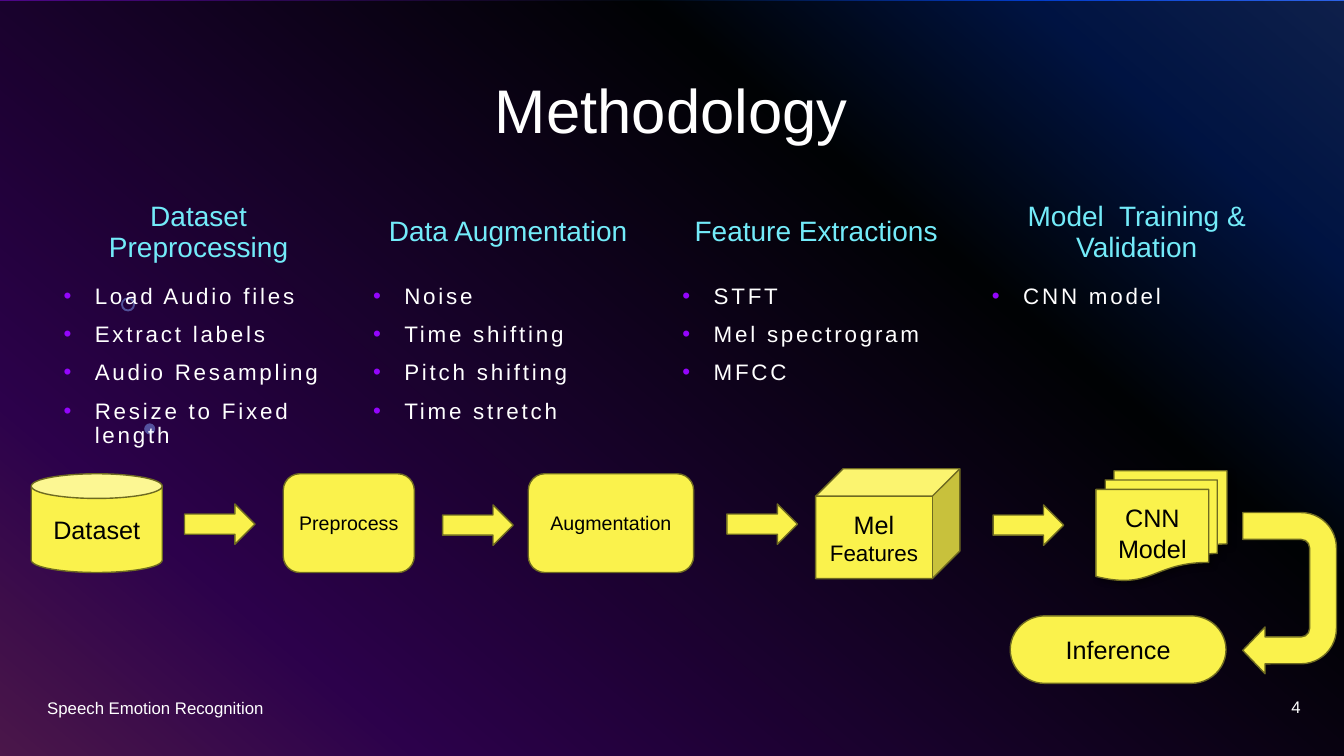
from lxml.etree import SubElement
from pptx import Presentation
from pptx.dml.color import RGBColor
from pptx.enum.shapes import MSO_SHAPE
from pptx.enum.text import MSO_ANCHOR, MSO_AUTO_SIZE, PP_ALIGN
from pptx.oxml.ns import qn
from pptx.util import Inches, Pt

COLORS = {"black": "000000", "white": "FFFFFF", "heading": "73EBF9",
          "bullet": "9405FC", "dot": "83A7FD", "step": "FAF24C", "outline": "6E6A21"}
BACKGROUND_STOPS = [(0, "316CFC"), (14, "0343DF"), (31, "02090E"),
                    (81, "9405FC"), (100, "FC4EFB")]
TITLE = "Methodology"
FOOTER = "Speech Emotion Recognition"
SLIDE_NUMBER = "4"

# heading, width, bullet items
COLUMNS = [
    ("Dataset Preprocessing", 2.88,
     ["Load Audio files", "Extract labels", "Audio Resampling", "Resize to Fixed length"]),
    ("Data Augmentation", 2.88, ["Noise", "Time shifting", "Pitch shifting", "Time stretch"]),
    ("Feature Extractions", 2.85, ["STFT", "Mel spectrogram", "MFCC"]),
    ("Model  Training & Validation", 3.07, ["CNN model"]),
]
COLUMN_LEFT, COLUMN_STEP = 0.53, 3.07
HEADING_TOP, HEADING_HEIGHT = 1.97, 0.68
LIST_TOP, LIST_HEIGHT = 2.78, 1.76

# preset, box, runs of (text, size)
STEPS = [
    (MSO_SHAPE.CAN, (0.31, 4.7, 1.3, 0.98), [("Dataset", 18)]),
    (MSO_SHAPE.ROUNDED_RECTANGLE, (2.81, 4.7, 1.3, 0.98), [("Preprocess", 14)]),
    (MSO_SHAPE.ROUNDED_RECTANGLE, (5.24, 4.7, 1.64, 0.98), [("Augmentation", 14)]),
    (MSO_SHAPE.CUBE, (8.09, 4.65, 1.43, 1.09), [("Mel ", 18), ("Features", 16)]),
    (MSO_SHAPE.FLOWCHART_MULTIDOCUMENT, (10.87, 4.67, 1.3, 1.09), [("CNN Model", 18)]),
    (MSO_SHAPE.FLOWCHART_TERMINATOR, (10.02, 6.11, 2.14, 0.67), [("Inference", 18)]),
]
ARROWS = [(1.83, 5), (4.39, 5.01), (7.21, 5), (9.85, 5.01)]
ARROW_SIZE = (0.7, 0.4)
RETURN_ARROW_BOX = (11.99, 5.42, 1.6, 0.93)
RETURN_ARROW_ADJUSTMENTS = (0.287, 0.25, 0.238, 0.377, 1)


def rgb(name):
    return RGBColor.from_string(COLORS[name])


def place(shape, box):
    shape.left, shape.top, shape.width, shape.height = map(Inches, box)


def write(shape, paragraphs, color="white", align=PP_ALIGN.LEFT, anchor=MSO_ANCHOR.MIDDLE,
          line_spacing=None, space_before=0, letter_spacing=None, bullets=False):
    """Fill a shape with paragraphs, each a list of (text, size) runs."""
    frame = shape.text_frame
    frame.word_wrap = True
    frame.auto_size = MSO_AUTO_SIZE.NONE
    frame.vertical_anchor = anchor
    for index, runs in enumerate(paragraphs):
        paragraph = frame.add_paragraph() if index else frame.paragraphs[0]
        paragraph.alignment = align
        paragraph.space_before = Pt(space_before if index else 0)
        if line_spacing:
            paragraph.line_spacing = line_spacing
        if bullets:
            add_bullet(paragraph)
        for text, size in runs:
            run = paragraph.add_run()
            run.text = text
            font = run.font
            font.name, font.size, font.bold = "Arial", Pt(size), False
            font.color.rgb = rgb(color)
            if letter_spacing:
                run._r.get_or_add_rPr().set("spc", str(letter_spacing * 100))


def add_bullet(paragraph):
    properties = paragraph._p.get_or_add_pPr()
    properties.set("marL", str(Inches(0.31)))
    properties.set("indent", str(-Inches(0.31)))
    bullet_color = SubElement(properties, qn("a:buClr"))
    SubElement(bullet_color, qn("a:srgbClr"), val=COLORS["bullet"])
    SubElement(properties, qn("a:buFont"), typeface="Arial")
    SubElement(properties, qn("a:buChar"), char="•")


def add_shape(slide, preset, box, fill="step", outline="outline", alpha=None):
    shape = slide.shapes.add_shape(preset, *map(Inches, box))
    shape.shadow.inherit = False
    shape.fill.solid()
    shape.fill.fore_color.rgb = rgb(fill)
    if alpha:
        color = shape._element.spPr.find(qn("a:solidFill")).find(qn("a:srgbClr"))
        SubElement(color, qn("a:alpha"), val=str(alpha * 1000))
    if outline:
        shape.line.color.rgb = rgb(outline)
        shape.line.width = Pt(1)
    else:
        shape.line.fill.background()
    return shape


def add_drop_shadow(shape):
    effects = shape._element.spPr.find(qn("a:effectLst"))
    shadow = SubElement(effects, qn("a:outerShdw"), blurRad=str(Pt(4)), dist=str(Pt(3)),
                        dir=str(45 * 60000), algn="tl", rotWithShape="0")
    color = SubElement(shadow, qn("a:srgbClr"), val=COLORS["black"])
    SubElement(color, qn("a:alpha"), val="40000")


def add_background(slide):
    fill = slide.background.fill
    fill.gradient()
    fill.gradient_angle = 360 - 130
    stops = next(slide._element.iter(qn("a:gsLst")))
    for stop in list(stops):
        stops.remove(stop)
    for position, color in BACKGROUND_STOPS:
        stop = SubElement(stops, qn("a:gs"), pos=str(position * 1000))
        SubElement(stop, qn("a:srgbClr"), val=color)

    shade = add_shape(slide, MSO_SHAPE.RECTANGLE, (0, 0.01, 13.33, 7.49), "black", None, 70)
    ring = add_shape(slide, MSO_SHAPE.DONUT, (1.2, 2.95, 0.14, 0.14), "dot", None, 49)
    ring.adjustments[0] = 0.14
    dot = add_shape(slide, MSO_SHAPE.OVAL, (1.43, 4.2, 0.11, 0.11), "dot", None, 49)
    for order, shape in enumerate((shade, ring, dot)):
        slide.shapes._spTree.insert(2 + order, shape._element)


def add_columns(slide):
    placeholders = {item.placeholder_format.idx: item for item in slide.placeholders}
    slots = [(placeholders[1], placeholders[2]), (placeholders[3], placeholders[4])]
    for index, (heading, width, items) in enumerate(COLUMNS):
        left = COLUMN_LEFT + index * COLUMN_STEP
        if index < len(slots):
            heading_box, list_box = slots[index]
        else:
            heading_box, list_box = (slide.shapes.add_textbox(0, 0, 0, 0) for _ in range(2))
        place(heading_box, (left, HEADING_TOP, width, HEADING_HEIGHT))
        place(list_box, (left, LIST_TOP, width, LIST_HEIGHT))
        write(heading_box, [[(heading, 20)]], color="heading", align=PP_ALIGN.CENTER,
              line_spacing=0.9)
        write(list_box, [[(item, 16)] for item in items], anchor=MSO_ANCHOR.TOP,
              line_spacing=0.9, space_before=10, letter_spacing=2, bullets=True)


def add_pipeline(slide):
    for preset, box, runs in STEPS:
        step = add_shape(slide, preset, box)
        write(step, [runs], color="black", align=PP_ALIGN.CENTER)
        if preset == MSO_SHAPE.FLOWCHART_MULTIDOCUMENT:
            add_drop_shadow(step)
    for position in ARROWS:
        add_shape(slide, MSO_SHAPE.RIGHT_ARROW, position + ARROW_SIZE)
    return_arrow = add_shape(slide, MSO_SHAPE.U_TURN_ARROW, RETURN_ARROW_BOX)
    return_arrow.rotation = 90
    for index, value in enumerate(RETURN_ARROW_ADJUSTMENTS):
        return_arrow.adjustments[index] = value


def main():
    presentation = Presentation()
    presentation.slide_width, presentation.slide_height = Inches(13.33), Inches(7.5)
    slide = presentation.slides.add_slide(presentation.slide_layouts.get_by_name("Comparison"))
    add_background(slide)

    title = slide.shapes.title
    place(title, (0.91, 0.4, 11.5, 1.45))
    write(title, [[(TITLE, 44)]], align=PP_ALIGN.CENTER, line_spacing=0.9)
    add_columns(slide)
    add_pipeline(slide)

    for text, box, align in ((FOOTER, (0.37, 6.82, 4.5, 0.4), PP_ALIGN.LEFT),
                             (SLIDE_NUMBER, (10, 6.81, 3, 0.4), PP_ALIGN.RIGHT)):
        write(slide.shapes.add_textbox(*map(Inches, box)), [[(text, 12)]], align=align)
    presentation.save("out.pptx")


if __name__ == "__main__":
    main()
